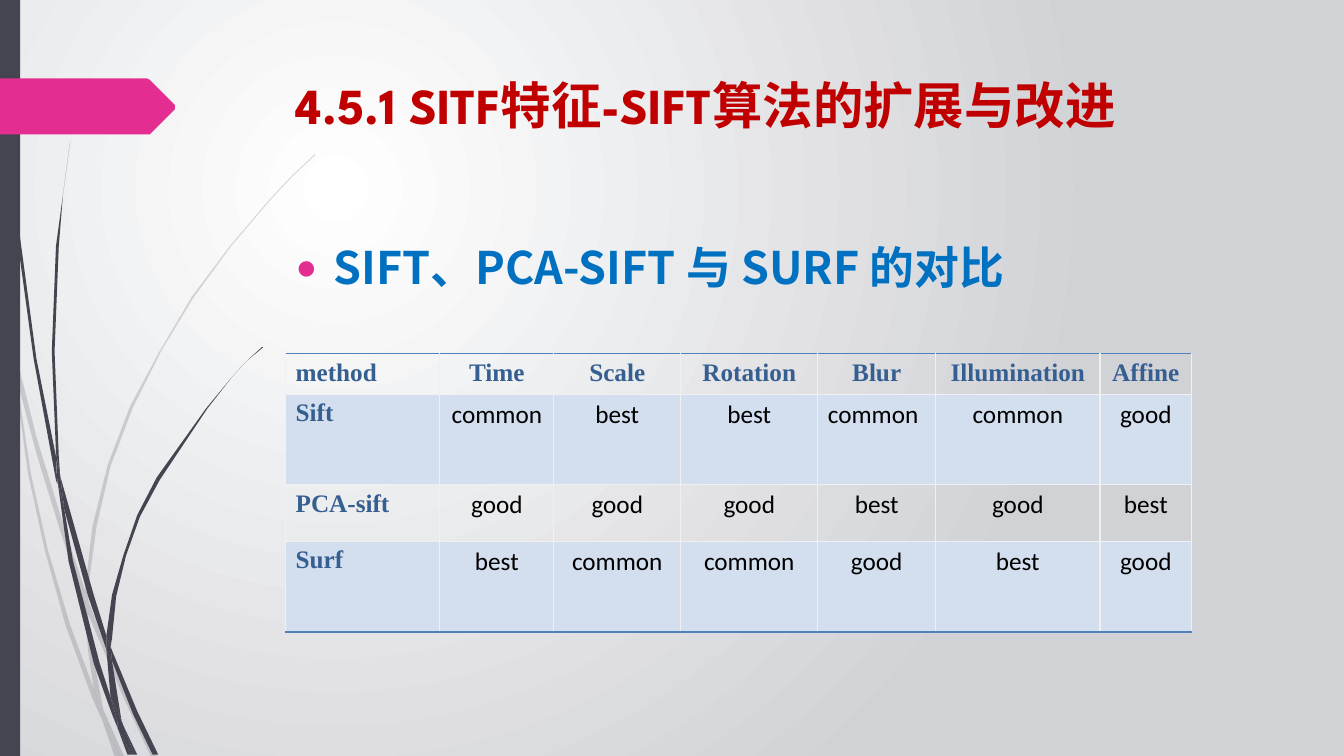
from dataclasses import dataclass

from lxml import etree
from pptx import Presentation
from pptx.dml.color import RGBColor
from pptx.enum import shapes, text
from pptx.oxml import ns
from pptx.util import Pt

WHITE = RGBColor(0xFF, 0xFF, 0xFF)
BLACK = RGBColor(0, 0, 0)
MIST = RGBColor(0xD1, 0xD2, 0xD6)
SLATE = RGBColor(0x45, 0x45, 0x51)
PINK = RGBColor(0xE3, 0x2D, 0x91)
RED = RGBColor(0xC0, 0, 0)
BLUE = RGBColor(0, 0x70, 0xC0)
NAVY = RGBColor(0x36, 0x5F, 0x91)
PALE_BLUE = RGBColor(0xD3, 0xDF, 0xEE)
RULE_BLUE = RGBColor(0x4F, 0x81, 0xBD)
RULE_GREY = RGBColor(0xF0, 0xF0, 0xF0)

Outline = list[tuple[float, float]]


@dataclass
class TextStyle:
    font: str
    size: float
    color: RGBColor
    bold: bool


@dataclass
class Grass:
    """Blades of one colour and opacity, each a closed outline in points."""
    opacity: int
    blades: list[Outline]


TITLE = TextStyle("League Spartan", 36, RED, True)
TOPIC = TextStyle("Noto Sans CJK SC", 32, BLUE, True)
LABEL = TextStyle("Times New Roman", 18, NAVY, True)
RATING = TextStyle("Calibri", 18, BLACK, False)

PALE_GRASS = Grass(20, [
    [(7.9, 252), (6.5, 231.8), (0, 203), (0, 215.3), (7.2, 247.7)],
    [(41.8, 375.8), (60.5, 431.3), (61.2, 421.9), (44.6, 374.4), (26, 311.9),
     (10.1, 248.4), (12.2, 270.7), (25.9, 323.6)],
    [(66.2, 437), (63.4, 429.1), (63.4, 439.2), (88.6, 499.7), (108, 540.7),
     (111.6, 540.7), (91.4, 498.2)],
    [(85.7, 540.7), (89.3, 540.7), (75.6, 511.9)],
    [(67, 491.8), (50.4, 445.7), (34.5, 392.2), (22.3, 337.7), (12.2, 270.7),
     (7.9, 252), (20.2, 338.4), (31.6, 393), (46.8, 447.1), (66.2, 499),
     (72.7, 514.1), (71.3, 509)],
    [(60.5, 431.3), (62.6, 465.1), (67, 491.8), (69.1, 498.2), (75.6, 511.9),
     (74.2, 508.3), (65.5, 465.1), (63.4, 439.2), (63.4, 437.8)],
    [(63.4, 420.5), (68.6, 375.8), (79.2, 332.6), (95.3, 291.2), (115.2, 251.3),
     (138.4, 212.8), (164.9, 176.4), (193, 142.6), (208.8, 126), (224.6, 110.9),
     (224.6, 110.2), (208.1, 126), (193, 141.8), (164.2, 175.7), (137.3, 212),
     (113.8, 250.6), (93.2, 290.2), (77, 331.9), (65.9, 375.7), (61.2, 420.5),
     (61.2, 421.9), (63.4, 429.1)],
    [(72.7, 514.1), (82.1, 540.7), (85.7, 540.7)],
    [(63.4, 437.8), (63.4, 439.2), (63.4, 429.1), (61.2, 421.9), (60.5, 431.3)],
    [(69.1, 498.2), (67, 491.8), (71.3, 509), (72.7, 514.1), (85.7, 540.7),
     (75.6, 511.9)],
])
DARK_GRASS = Grass(100, [
    [(5, 79.2), (12.2, 167.8), (23.8, 255.6), (40.3, 343.4), (41, 346.3),
     (39.6, 329), (39.6, 326.2), (25.9, 255.6), (13.7, 167), (5.8, 78.5),
     (3.6, 34.6), (2.9, 0), (2.2, 0), (2.9, 34.6)],
    [(63.4, 426.2), (76.3, 464.4), (76.3, 454.3), (67, 424.8), (43.2, 339.8),
     (46.1, 363.6)],
    [(81.4, 467.3), (79.2, 461.5), (79.9, 472.3), (95, 509.8), (109.4, 539.3),
     (113, 539.3), (97.9, 508.3)],
    [(79.2, 497.5), (70.6, 473), (51.8, 400.3), (46.1, 363.6), (41, 343.4),
     (49, 401), (67, 474.5), (79.9, 509.8), (84.2, 519.8), (83.5, 516.2)],
    [(43.2, 339.8), (41.8, 326.2), (38.9, 251.3), (41.8, 176.4), (45.4, 139),
     (50.4, 101.5), (44.6, 139), (40.3, 176.4), (37.4, 251.3), (39.6, 323.3)],
    [(95.8, 539.3), (97.9, 539.3), (87.8, 517.7)],
    [(41, 343.4), (46.1, 363.6), (43.2, 339.8), (39.6, 323.3), (39.6, 326.2)],
    [(79.9, 455.8), (83, 426), (90, 397.4), (100.3, 369.4), (113.8, 342.7),
     (147.6, 292.3), (166.3, 269.3), (176.4, 258.5), (187.9, 247.7),
     (187.2, 247.7), (176.4, 257.8), (166.3, 268.6), (146.9, 291.6),
     (112.3, 341.3), (98.3, 368.4), (87.8, 396.7), (80.2, 425.2),
     (76.3, 454.3), (79.2, 461.5)],
    [(84.2, 519.8), (91.4, 539.3), (94.3, 539.3)],
    [(76.3, 464.4), (79.2, 497.5), (83.5, 508.3), (87.8, 517.7), (87.1, 515.5),
     (79.9, 472.3), (78.5, 468.7)],
    [(76.3, 464.4), (78.5, 468.7), (79.9, 472.3), (79.2, 461.5), (76.3, 454.3)],
    [(83.5, 508.3), (79.2, 497.5), (83.5, 516.2), (84.2, 519.8), (93.6, 539.3),
     (95.8, 539.3), (87.8, 517.7)],
])
TAG = [(0, 56.2), (105, 56.2), (106.6, 57), (124.6, 74.9), (124.6, 77.8),
       (106.6, 95.8), (105, 96.5), (0, 95.8)]

COLUMN_WIDTHS = [110.2, 81.4, 90.7, 97.9, 84.2, 117.4, 65.5]
ROW_HEIGHTS = [28.8, 64.8, 40.3, 64.8]
COMPARISON = [
    ["method", "Time", "Scale", "Rotation", "Blur", "Illumination", "Affine"],
    ["Sift", "common", "best", "best", "common", "common", "good"],
    ["PCA-sift", "good", "good", "good", "best", "good", "best"],
    ["Surf", "best", "common", "common", "good", "best", "good"],
]
LEFT_ALIGNED_RATING = (1, 4)


def add_element(parent, tag: str, **attributes: str):
    return etree.SubElement(parent, ns.qn(tag), attributes)


def paint(shape, color: RGBColor, opacity: int = 100) -> None:
    shape.shadow.inherit = False
    shape.fill.solid()
    shape.fill.fore_color.rgb = color
    shape.line.fill.background()
    if opacity < 100:
        tint = shape.element.find(".//" + ns.qn("a:srgbClr"))
        add_element(tint, "a:alpha", val=str(opacity * 1000))


def draw_outline(canvas, outline: Outline, color: RGBColor, opacity: int = 100) -> None:
    builder = canvas.build_freeform(*outline[0], scale=Pt(1))
    builder.add_line_segments(outline[1:], close=True)
    paint(builder.convert_to_shape(), color, opacity)


def draw_background(page) -> None:
    """White glow in the upper left, fading to grey."""
    fill = page.background.fill
    fill.gradient()
    for stop, color, position in zip(fill.gradient_stops, (WHITE, MIST), (0, 1)):
        stop.color.rgb = color
        stop.position = position
    gradient = page.element.find(".//" + ns.qn("a:gradFill"))
    gradient.remove(gradient.find(ns.qn("a:lin")))
    glow = add_element(gradient, "a:path", path="circle")
    add_element(glow, "a:fillToRect", l="50000", t="50000", r="100000", b="100000")


def write(para, words: str, style: TextStyle, align=text.PP_ALIGN.LEFT) -> None:
    para.alignment = align
    span = para.add_run()
    span.text = words
    span.font.name = style.font
    span.font.size = Pt(style.size)
    span.font.bold = style.bold
    span.font.color.rgb = style.color


def fill_placeholder(box, top: float, height: float, words: str, style: TextStyle):
    box.left, box.top, box.width, box.height = Pt(204), Pt(top), Pt(702), Pt(height)
    frame = box.text_frame
    frame.word_wrap = True
    frame.auto_size = text.MSO_AUTO_SIZE.NONE
    frame.vertical_anchor = text.MSO_ANCHOR.TOP
    para = frame.paragraphs[0]
    para.space_before = Pt(0)
    write(para, words, style)
    return para


def add_bullet(para) -> None:
    props = para._p.get_or_add_pPr()
    props.set("marL", str(Pt(27)))
    props.set("indent", str(-Pt(27)))
    add_element(add_element(props, "a:buClr"), "a:srgbClr", val=str(PINK))
    add_element(props, "a:buSzPct", val="80000")
    add_element(props, "a:buFont", typeface="Arial")
    add_element(props, "a:buChar", char="●")


def add_borders(cell, top: RGBColor, bottom: RGBColor) -> None:
    props = cell._tc.get_or_add_tcPr()
    sides = {"L": RULE_GREY, "R": RULE_GREY, "T": top, "B": bottom}
    for side, color in sides.items():
        line = add_element(props, f"a:ln{side}", w=str(Pt(1)))
        add_element(add_element(line, "a:solidFill"), "a:srgbClr", val=str(color))


def draw_comparison(page) -> None:
    last = len(ROW_HEIGHTS) - 1
    frame = page.shapes.add_table(
        len(ROW_HEIGHTS), len(COLUMN_WIDTHS), Pt(204), Pt(252.7),
        Pt(sum(COLUMN_WIDTHS)), Pt(sum(ROW_HEIGHTS)))
    table = frame.table
    table.first_row = table.horz_banding = False
    for column, width in zip(table.columns, COLUMN_WIDTHS):
        column.width = Pt(width)
    for r, words in enumerate(COMPARISON):
        table.rows[r].height = Pt(ROW_HEIGHTS[r])
        for c, word in enumerate(words):
            cell = table.cell(r, c)
            add_borders(cell, RULE_BLUE if r == 0 else RULE_GREY,
                        RULE_BLUE if r == last else RULE_GREY)
            if r % 2:
                cell.fill.solid()
                cell.fill.fore_color.rgb = PALE_BLUE
            else:
                cell.fill.background()
            left = c == 0 or (r, c) == LEFT_ALIGNED_RATING
            write(cell.text_frame.paragraphs[0], word,
                  LABEL if r == 0 or c == 0 else RATING,
                  text.PP_ALIGN.LEFT if left else text.PP_ALIGN.CENTER)


def main() -> None:
    deck = Presentation()
    deck.slide_width, deck.slide_height = Pt(960), Pt(540)
    page = deck.slides.add_slide(deck.slide_layouts[1])
    draw_background(page)
    for grass in (PALE_GRASS, DARK_GRASS):
        group = page.shapes.add_group_shape()
        for blade in grass.blades:
            draw_outline(group.shapes, blade, SLATE, grass.opacity)
    edge = page.shapes.add_shape(shapes.MSO_SHAPE.RECTANGLE, 0, 0, Pt(14.4), Pt(540))
    paint(edge, SLATE)
    draw_outline(page.shapes, TAG, PINK)
    title, body = page.placeholders
    fill_placeholder(title, 49, 100.8, "4.5.1 SITF特征-SIFT算法的扩展与改进", TITLE)
    add_bullet(fill_placeholder(body, 167.8, 297.4, "SIFT、PCA-SIFT 与 SURF 的对比", TOPIC))
    draw_comparison(page)
    deck.save("out.pptx")


if __name__ == "__main__":
    main()
